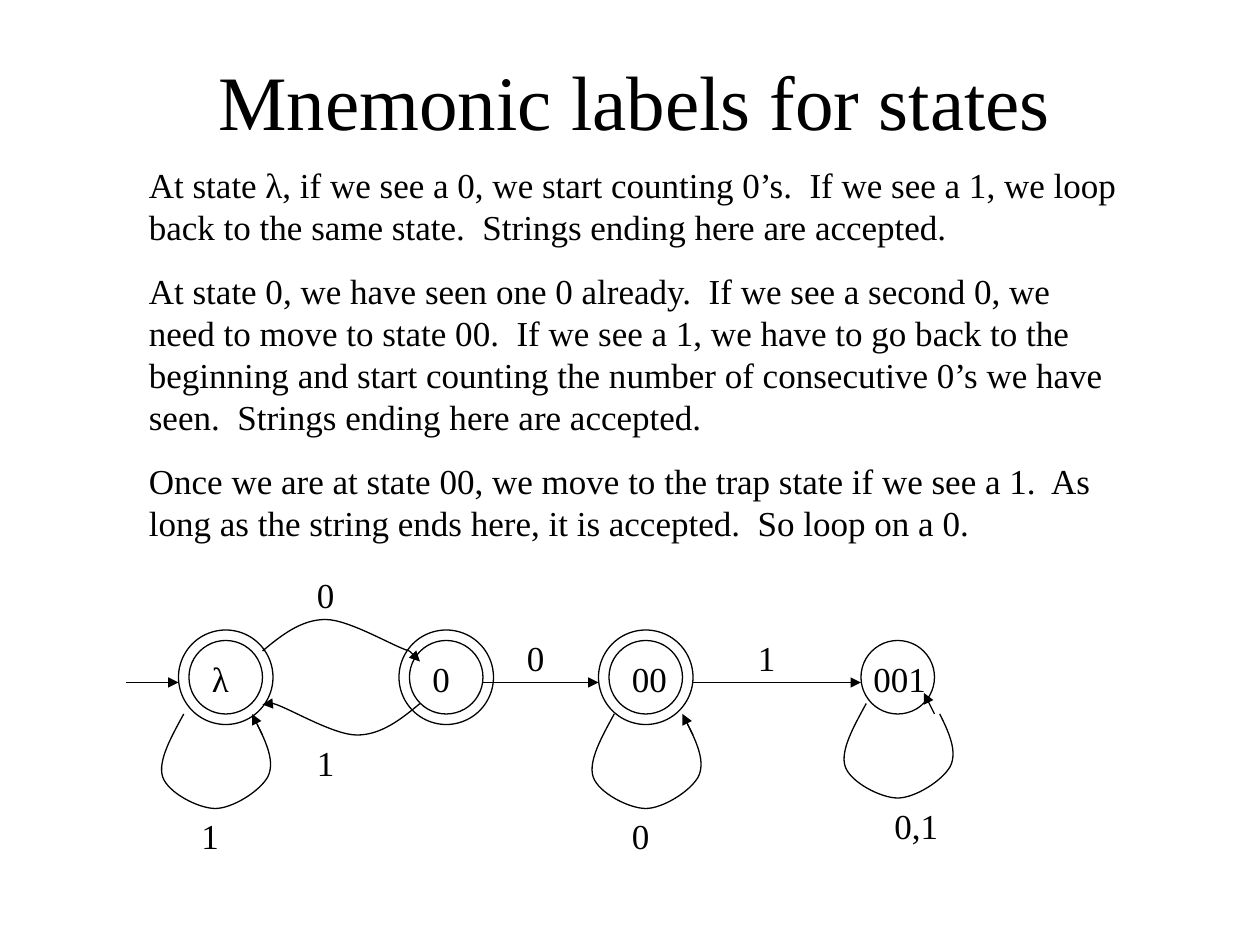
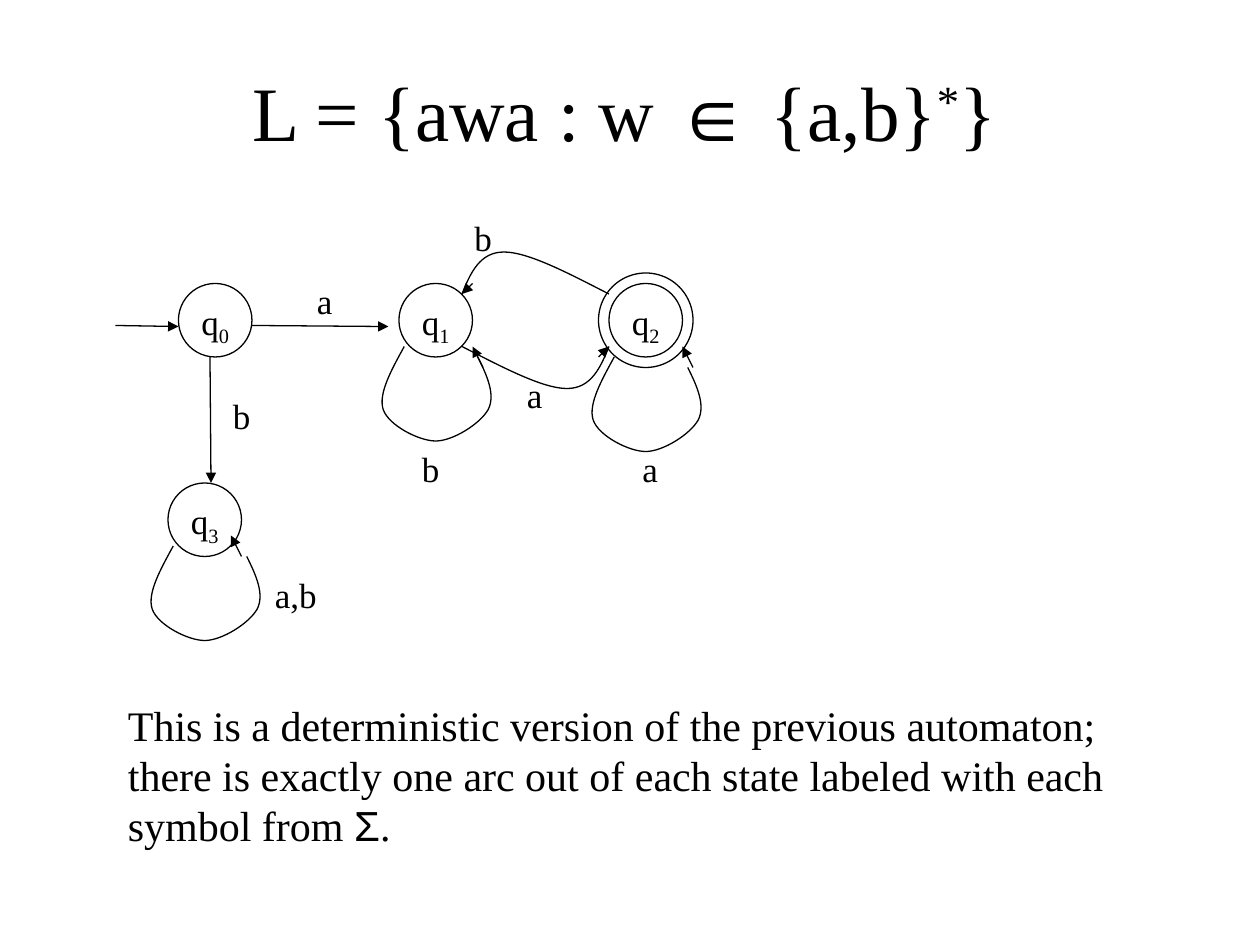
from pptx import Presentation
from pptx.dml.color import RGBColor
from pptx.enum.shapes import MSO_CONNECTOR, MSO_SHAPE
from pptx.enum.text import MSO_ANCHOR, MSO_AUTO_SIZE, PP_ALIGN
from pptx.oxml.ns import qn
from pptx.util import Pt
from lxml import etree

OVAL = MSO_SHAPE.OVAL
STRAIGHT = MSO_CONNECTOR.STRAIGHT
MIDDLE = MSO_ANCHOR.MIDDLE
CENTER = PP_ALIGN.CENTER
NO_FIT = MSO_AUTO_SIZE.NONE
GROW = MSO_AUTO_SIZE.SHAPE_TO_FIT_TEXT
TITLE_ONLY = 5

PX = 7620  # EMU per px, 120 px to the inch
STATE, RING = 70, 10  # state diameter, gap to the accepting ring
LABEL_H = 53

# Bezier points as offsets from the start of the curve
LOOP = [(0, 0), (-12, 22), (-25, 45), (-20, 60), (-15, 75), (14, 90), (30, 90),
        (46, 90), (72, 74), (80, 60), (87, 46), (79, 28), (70, 10)]
WAVE = [(0, 0), (18, -15), (37, -30), (60, -30), (83, -30), (127, -3), (140, 0)]
HOOK = [(0, 0), (8, -20), (17, -40), (40, -40), (63, -40), (101, -20), (140, 0)]


def emu(px):
    return round(px * PX)


def color(hex_string):
    return RGBColor.from_string(hex_string)


def lines_to_beziers(shape):
    """Join each three line segments of a freeform into one cubic curve."""
    segments = list(shape._element.iter(qn("a:lnTo")))
    for i in range(0, len(segments), 3):
        first, *others = segments[i:i + 3]
        first.tag = qn("a:cubicBezTo")
        for segment in others:
            first.append(segment[0])
            segment.getparent().remove(segment)


def add_run(p, text, size=20, font="Times New Roman", ink="000000", baseline=0):
    r = p.add_run()
    r.text = text
    r.font.size = Pt(size)
    r.font.name = font
    r.font.color.rgb = color(ink)
    if baseline:
        r._r.get_or_add_rPr().set("baseline", str(baseline * 1000))


class Deck:
    ink = "000000"
    line_width = 0.75
    title_size = 44

    def __init__(self):
        self.prs = Presentation()
        self.prs.slide_width, self.prs.slide_height = emu(1200), emu(900)

    def slide(self, title_runs, x, y):
        self.s = self.prs.slides.add_slide(self.prs.slide_layouts[TITLE_ONLY])
        title = self.s.shapes.title
        title.left, title.top, title.width, title.height = map(emu, (x, y, 1109, 150))
        tf = title.text_frame
        tf.auto_size, tf.vertical_anchor = NO_FIT, MIDDLE
        tf.margin_left = tf.margin_right = tf.margin_top = tf.margin_bottom = 0
        p = tf.paragraphs[0]
        p.alignment = CENTER
        for text, style in title_runs:
            add_run(p, text, size=self.title_size, **style)

    def text(self, x, y, w, h, paragraphs, size=20, gap=12.5):
        """Each paragraph is a list of (text, style) runs."""
        box = self.s.shapes.add_textbox(*map(emu, (x, y, w, h)))
        tf = box.text_frame
        tf.word_wrap, tf.auto_size = True, GROW
        for i, runs in enumerate(paragraphs):
            p = tf.add_paragraph() if i else tf.paragraphs[0]
            if i:
                p.space_before = Pt(gap)
            for text, style in runs:
                add_run(p, text, size=size, **style)

    def label(self, x, y, text, sub=None, w=60):
        runs = [(text, {})]
        if sub:
            runs.append((sub, {"baseline": -25}))
        self.text(x, y, w, LABEL_H + (5 if sub else 0), [runs])

    def stroke(self, shape):
        shape.line.color.rgb = color(self.ink)
        shape.line.width = Pt(self.line_width)

    def circle(self, x, y, d):
        shape = self.s.shapes.add_shape(OVAL, *map(emu, (x, y, d, d)))
        shape.shadow.inherit = False
        shape.fill.background()
        self.stroke(shape)

    def state(self, x, y, name, sub=None, accepting=False, inset=10, w=60):
        self.circle(x, y, STATE)
        if accepting:
            self.circle(x - RING, y - RING, STATE + 2 * RING)
        self.label(x + inset, y + 10, name, sub, w)

    def arrow(self, x1, y1, x2, y2):
        line = self.s.shapes.add_connector(STRAIGHT, *map(emu, (x1, y1, x2, y2)))
        self.stroke(line)
        etree.SubElement(line.line._get_or_add_ln(), qn("a:tailEnd"), type="triangle")
        etree.SubElement(line._element.spPr, qn("a:effectLst"))

    def curve(self, x, y, offsets, turn=1):
        """Draw a curve from x, y; turn=-1 rotates it by half a turn."""
        start, *rest = [(emu(x + turn * dx), emu(y + turn * dy)) for dx, dy in offsets]
        builder = self.s.shapes.build_freeform(*start, scale=1.0)
        builder.add_line_segments(rest, close=False)
        shape = builder.convert_to_shape()
        lines_to_beziers(shape)
        shape.shadow.inherit = False
        shape.fill.background()
        self.stroke(shape)

    def loop(self, x, y, tip_dx=65, tip_dy=0):
        self.curve(x, y, LOOP)
        tip_x, tip_y = x + tip_dx, y + tip_dy
        self.arrow(tip_x + 10, tip_y + 20, tip_x, tip_y)


def mnemonic_slide(d):
    d.slide([("Mnemonic labels for states", {})], 50, 20)
    explanation = [
        "At state λ, if we see a 0, we start counting 0’s.  If we see a 1, we loop "
        "back to the same state.  Strings ending here are accepted.",
        "At state 0, we have seen one 0 already.  If we see a second 0, we need to "
        "move to state 00.  If we see a 1, we have to go back to the beginning and "
        "start counting the number of consecutive 0’s we have seen.  Strings ending "
        "here are accepted.",
        "Once we are at state 00, we move to the trap state if we see a 1.  As long "
        "as the string ends here, it is accepted.  So loop on a 0.",
    ]
    d.text(130, 150, 950, 374, [[(text, {})] for text in explanation])

    # States
    for x, name, w in ((180, "λ", 60), (390, "0", 60), (580, "00", 70)):
        d.state(x, 610, name, accepting=True, w=w)
    d.state(820, 610, "001", inset=0, w=90)

    # Transitions
    for x1, x2 in ((120, 170), (460, 570), (660, 820)):
        d.arrow(x1, 650, x2, 650)
    d.curve(250, 620, WAVE)
    d.arrow(390, 620, 400, 630)
    d.curve(400, 670, WAVE, turn=-1)
    d.arrow(260, 670, 250, 671)
    d.loop(175, 680)
    d.loop(585, 680)
    d.loop(825, 670, 55, -10)

    # Symbols on the transitions
    for x, y, symbol, w in ((290, 540, "0", 40), (290, 700, "1", 50), (490, 600, "0", 60),
                            (710, 600, "1", 60), (180, 770, "1", 70), (590, 770, "0", 50),
                            (840, 760, "0,1", 80)):
        d.label(x, y, symbol, w=w)


def language_slide(d):
    d.slide([("L = {awa : w ", {}), ("∈", {"font": "Arial"}), (" {a,b}", {}),
             ("*", {"baseline": 30}), ("}", {})], 40, 30)

    # States
    for x, y, index, w in ((170, 270, "0", 60), (380, 270, "1", 60),
                           (580, 270, "2", 70), (160, 460, "3", 80)):
        d.state(x, y, "q", index, accepting=index == "2", w=w)

    # Transitions
    d.arrow(110, 310, 170, 311)
    d.arrow(240, 310, 370, 311)
    d.arrow(200, 340, 201, 460)
    d.curve(440, 280, HOOK)
    d.arrow(450, 270, 440, 280)
    d.curve(580, 330, HOOK, turn=-1)
    d.arrow(570, 340, 580, 330)
    d.loop(385, 330)
    d.loop(585, 340, 65, -10)
    d.loop(165, 520, 55, -10)

    # Symbols on the transitions
    for x, y, symbol, w in ((290, 260, "a", 40), (210, 370, "b", 70), (440, 200, "b", 50),
                            (490, 350, "a", 60), (390, 420, "b", 40), (600, 420, "a", 50),
                            (250, 540, "a,b", 70)):
        d.label(x, y, symbol, w=w)

    d.text(110, 660, 980, 156, [[
        ("This is a deterministic version of the previous automaton; there is exactly "
         "one arc out of each state labeled with each symbol from ", {}),
        ("Σ", {"font": "Arial"}), (".", {})]], size=24)


def main():
    d = Deck()
    mnemonic_slide(d)
    language_slide(d)
    d.prs.save("out.pptx")


if __name__ == "__main__":
    main()
